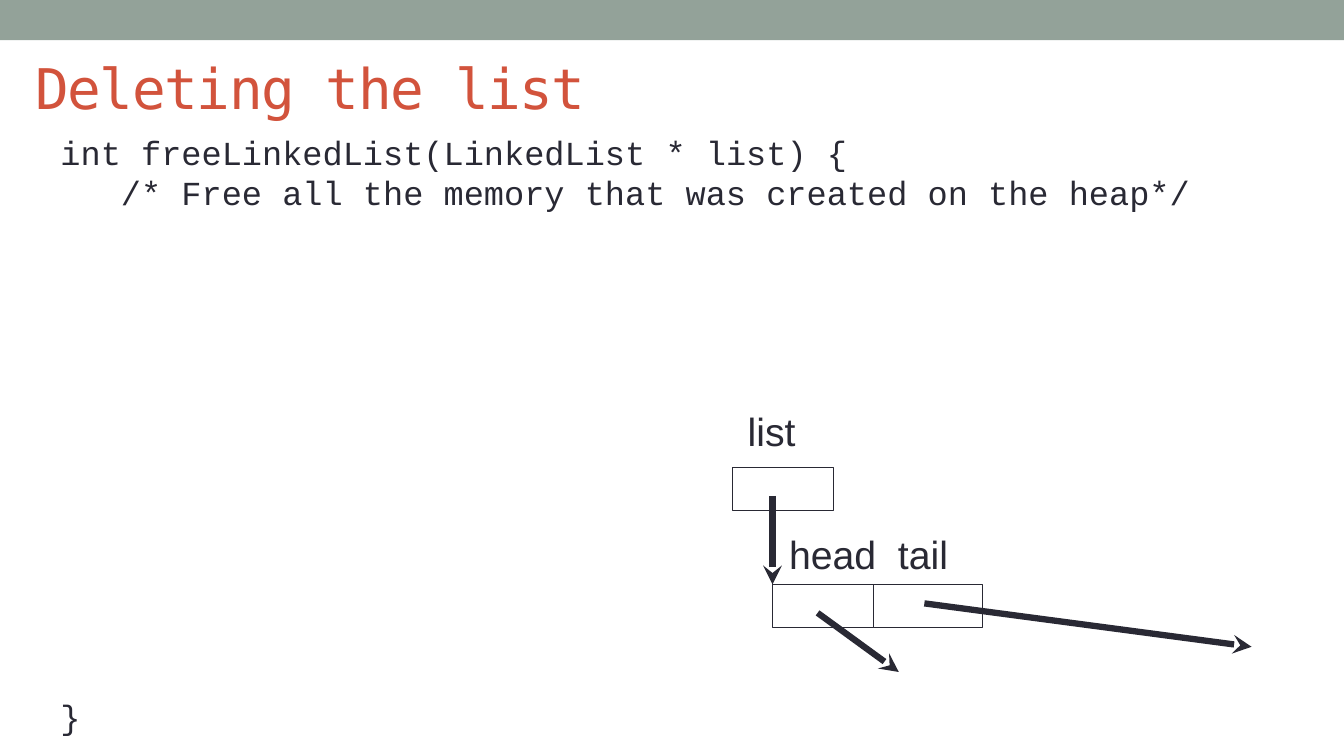
from lxml import etree
from pptx import Presentation
from pptx.dml.color import RGBColor
from pptx.enum import shapes, text
from pptx.oxml import ns
from pptx.util import Pt

SAGE = RGBColor(0x93, 0xA2, 0x99)
RUST = RGBColor(0xD2, 0x53, 0x3C)
INK = RGBColor(0x29, 0x29, 0x34)
WHITE = RGBColor(0xFF, 0xFF, 0xFF)
CODE_LINE = 28.8
CODE_INDENT = 43.2  # three characters of code


def add_span(para, words, font, size, color):
    span = para.add_run()
    span.text = words
    span.font.name = font
    span.font.size = Pt(size)
    span.font.color.rgb = color
    return span


def add_box(left, top, width, height, fill):
    box = page.shapes.add_shape(shapes.MSO_SHAPE.RECTANGLE,
                                Pt(left), Pt(top), Pt(width), Pt(height))
    box.shadow.inherit = False
    box.fill.solid()
    box.fill.fore_color.rgb = fill
    return box


deck = Presentation()
deck.slide_width, deck.slide_height = Pt(960), Pt(540)
page = deck.slides.add_slide(deck.slide_layouts[1])

band = add_box(0, 0, 960, 28.8, SAGE)
band.line.fill.background()

# Title
title = page.shapes.title
title.left, title.top, title.width, title.height = Pt(18), Pt(24), Pt(672), Pt(76)
frame = title.text_frame
frame.auto_size = text.MSO_AUTO_SIZE.NONE
frame.vertical_anchor = text.MSO_ANCHOR.MIDDLE
para = frame.paragraphs[0]
para.alignment = text.PP_ALIGN.LEFT
span = add_span(para, "Deleting the list", "DejaVu Sans Mono", 40, RUST)
span.font._element.set("spc", "-100")

# Code: text, indent, empty lines above
code_lines = [
    ("int freeLinkedList(LinkedList * list) {", 0, 0),
    ("/* Free all the memory that was created on the heap*/", CODE_INDENT, 0),
    ("}", 0, 12),
]
code = page.placeholders[1]
code.left, code.top, code.width, code.height = Pt(36), Pt(88), Pt(858), Pt(444)
frame = code.text_frame
frame.auto_size = text.MSO_AUTO_SIZE.NONE
frame.vertical_anchor = text.MSO_ANCHOR.TOP
frame.margin_top = Pt(6)
for number, (words, indent, gap) in enumerate(code_lines):
    para = frame.add_paragraph() if number else frame.paragraphs[0]
    para.line_spacing = Pt(CODE_LINE)
    para.space_before = Pt(gap * CODE_LINE)
    para.space_after = Pt(0)
    settings = para._p.get_or_add_pPr()
    settings.set("marL", str(int(Pt(indent))))
    settings.set("indent", "0")
    etree.SubElement(settings, ns.qn("a:buNone"))
    add_span(para, words, "Courier New", 24, INK)

# Memory cells
for left, top, width in [(551.8, 417.4, 72), (623.8, 417.4, 78), (523.2, 333.8, 72)]:
    cell = add_box(left, top, width, 31, WHITE)
    cell.line.color.rgb = INK
    cell.line.width = Pt(0.75)

# Cell labels
for words, left, top, width in [("head", 556.6, 375.2, 77.8),
                                ("tail", 634.3, 375.2, 51),
                                ("list", 527, 287.3, 49)]:
    label = page.shapes.add_textbox(Pt(left), Pt(top), Pt(width), Pt(41))
    label.text_frame.word_wrap = False
    add_span(label.text_frame.paragraphs[0], words, "Arial", 28, INK)

# Pointers
for x1, y1, x2, y2 in [(584, 437.8, 642, 480),
                       (660.3, 431, 894, 462),
                       (551.8, 354.2, 551.8, 417.4)]:
    pointer = page.shapes.add_connector(shapes.MSO_CONNECTOR.STRAIGHT,
                                        Pt(x1), Pt(y1), Pt(x2), Pt(y2))
    pointer.line.color.rgb = INK
    pointer.line.width = Pt(4.5)
    etree.SubElement(pointer.line._get_or_add_ln(), ns.qn("a:tailEnd"), type="stealth")
    etree.SubElement(pointer._element.spPr, ns.qn("a:effectLst"))

deck.save("out.pptx")
